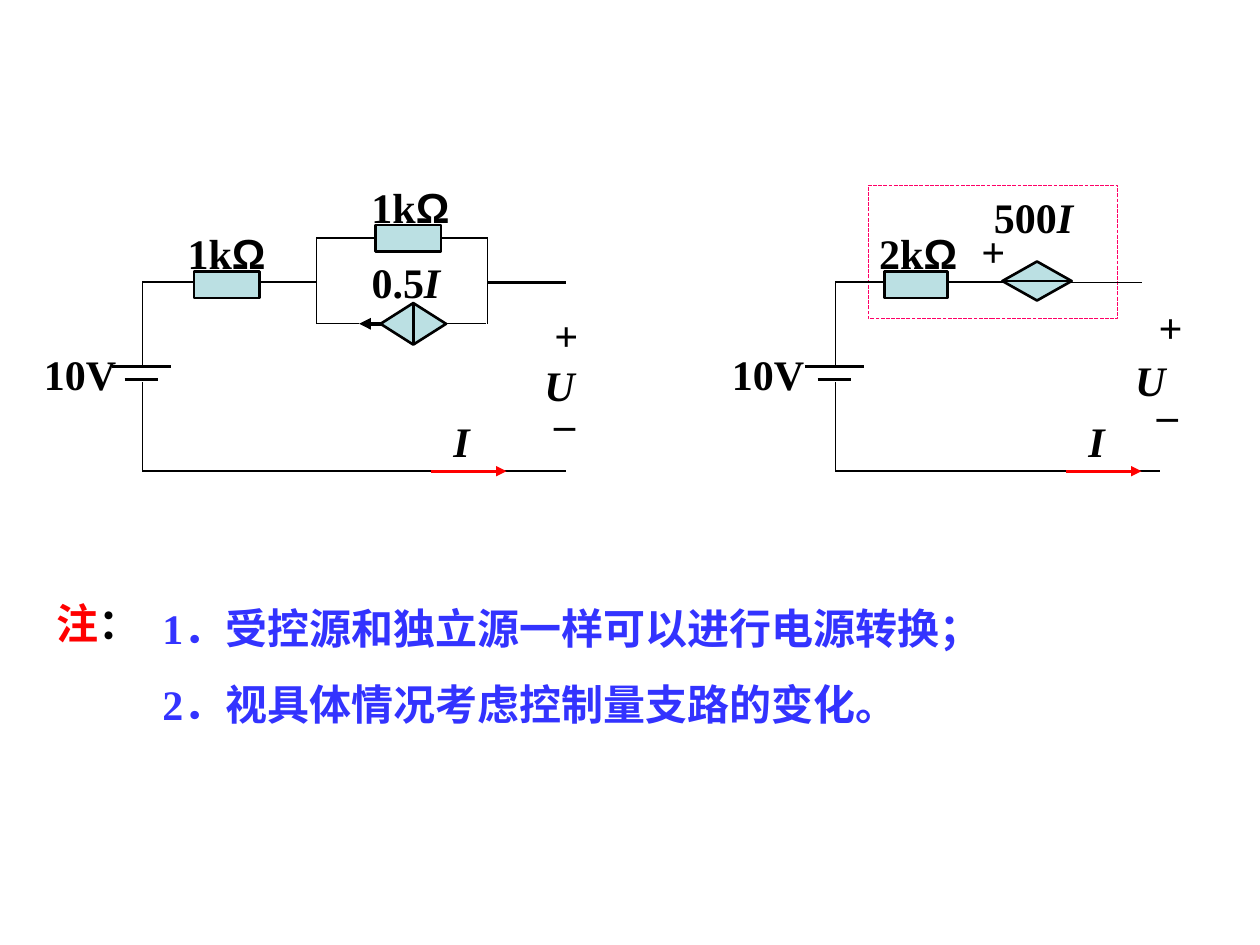
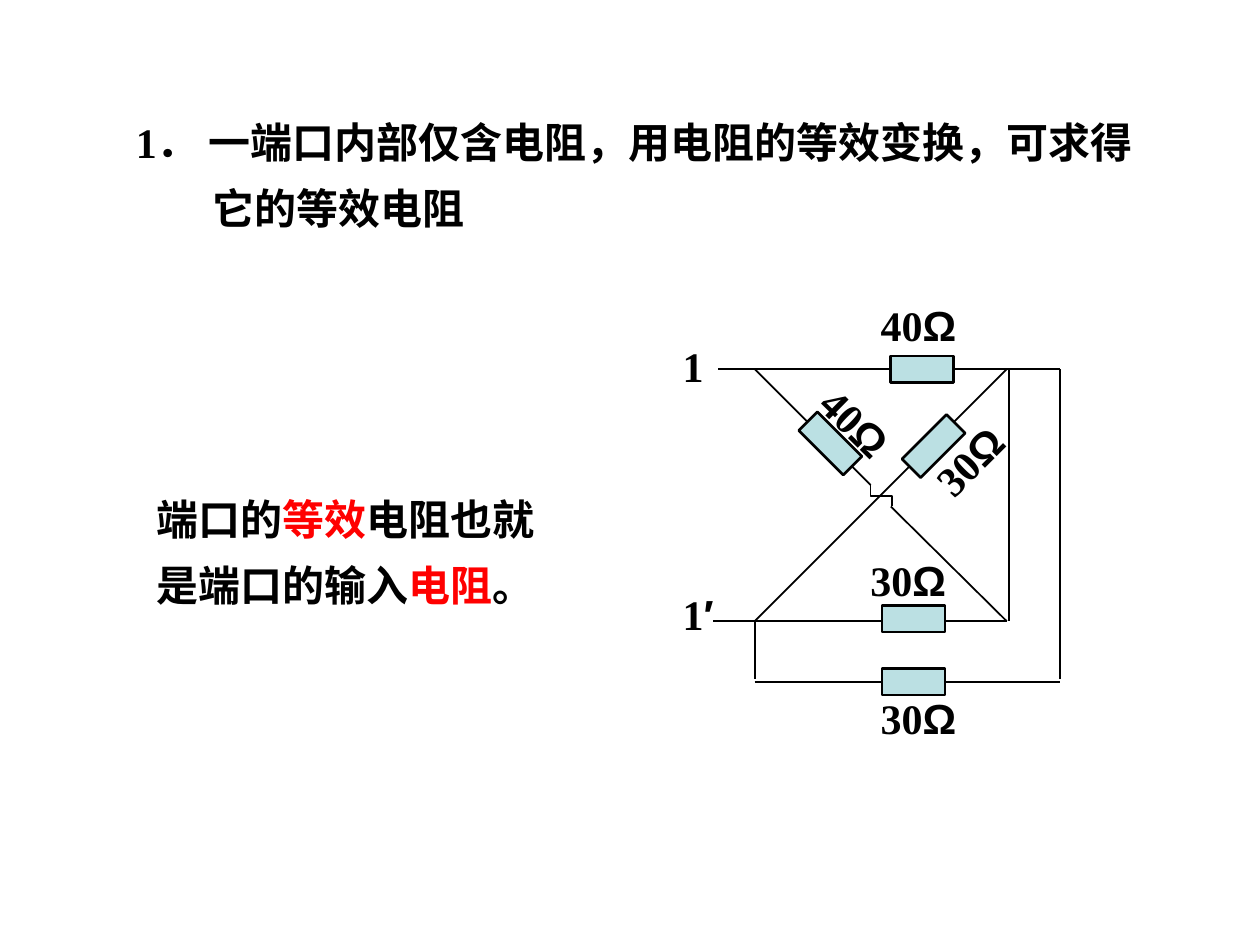
from pptx import Presentation
from pptx import util as u
from pptx.dml.color import RGBColor
from pptx.enum import dml, shapes, text
from pptx.oxml import ns
from lxml import etree

HUE = {"ink": "000000", "red": "FF0000", "blue": "3333FF",
       "part": "BBE0E3", "frame": "FF0066"}
FONT = {"name": "Times New Roman", "size": u.Pt(24), "bold": True}
ITAL = {"italic": True}
SIGN = {"name": "Arial"}
RED = {"hue": "red"}
BLUE = {"hue": "blue"}
MID = {"alignment": text.PP_ALIGN.CENTER}
WIDE = {"line_spacing": 1.3}
GAP = {"space_before": u.Pt(15)}


def rgb(hue):
    return RGBColor.from_string(HUE[hue])


def inch(nums):
    return [u.Inches(n) for n in nums]


def apply(item, vals):
    for key, val in vals.items():
        setattr(item, key, val)


def stroke(item, hue, width):
    item.line.color.rgb = rgb(hue)
    item.line.width = u.Pt(width)


# ---- Text ----
def fill_para(para, runs, form):
    """Each run is plain text or a pair of text and format values."""
    apply(para, form)
    for part in runs:
        words, own = part if isinstance(part, tuple) else (part, {})
        run = para.add_run()
        run.text = words
        vals = {**FONT, **own}
        run.font.color.rgb = rgb(vals.pop("hue", "ink"))
        apply(run.font, vals)


def label(slide, box, *runs, form={}, turn=0):
    item = slide.shapes.add_textbox(*inch(box))
    item.rotation = turn
    frame = item.text_frame
    frame.word_wrap = True
    if form is MID:
        frame.vertical_anchor = text.MSO_ANCHOR.MIDDLE
    fill_para(frame.paragraphs[0], runs, form)
    return frame


def ohms(slide, left, top, value, turn=0, width=1):
    label(slide, (left, top, width, 0.5), value, ("Ω", SIGN), turn=turn)


# ---- Circuit parts ----
def wire(slide, x1, y1, x2, y2, width=1, hue="ink", arrow=False,
         kind=shapes.MSO_CONNECTOR.STRAIGHT):
    item = slide.shapes.add_connector(kind, *inch((x1, y1, x2, y2)))
    stroke(item, hue, width)
    props = item._element.spPr
    if arrow:
        line = item.line._get_or_add_ln()
        etree.SubElement(line, ns.qn("a:tailEnd"), type="triangle")
    etree.SubElement(props, ns.qn("a:effectLst"))
    return item


def wires(slide, paths, width=1):
    for ends in paths:
        wire(slide, *ends, width)


def part(slide, kind, mid_x, mid_y, wide, high, turn=0):
    box = (mid_x - wide / 2, mid_y - high / 2, wide, high)
    item = slide.shapes.add_shape(kind, *inch(box))
    item.shadow.inherit = False
    item.rotation = turn
    item.fill.solid()
    item.fill.fore_color.rgb = rgb("part")
    stroke(item, "ink", 1.5)
    return item


def resist(slide, mid_x, mid_y, turn=0, wide=0.5):
    part(slide, shapes.MSO_SHAPE.RECTANGLE, mid_x, mid_y, wide, 0.21, turn)


def source(slide, mid_x, mid_y, wide, high, turn):
    part(slide, shapes.MSO_SHAPE.FLOWCHART_SORT, mid_x, mid_y, wide, high, turn)


def loop(slide, left, top_end, low_end, volt, amp):
    """Battery branch with its top and bottom rails and the current arrow."""
    wires(slide, [(left - 0.24, 2.91, left + 0.23, 2.91),
                  (left - 0.14, 3.01, left + 0.12, 3.01)], 1.5)
    wires(slide, [(left, 3.03, left, 3.74), (left, 2.91, left, 2.24),
                  (left, 2.24, top_end, 2.24), (left, 3.74, low_end, 3.74)])
    wire(slide, amp, 3.74, amp + 0.6, 3.74, 1.5, "red", arrow=True)
    label(slide, (volt, 2.72, 0.85, 0.5), "10V")
    label(slide, (amp + 0.08, 3.25, 0.47, 0.5), ("I", ITAL))


def port(slide, plus, volt, minus):
    """Voltage marks at the open terminals, each as left, top, width."""
    for spot, mark in ((plus, "+"), (minus, "_"), (volt, ("U", ITAL))):
        label(slide, (*spot, 0.5), mark, form=MID)


# ---- Slides ----
def convert(slide):
    # Frame around the converted source
    frame = slide.shapes.add_shape(shapes.MSO_SHAPE.RECTANGLE,
                                   *inch((6.89, 1.47, 1.98, 1.06)))
    frame.shadow.inherit = False
    frame.fill.background()
    stroke(frame, "frame", 0.75)
    frame.line.dash_style = dml.MSO_LINE.SQUARE_DOT

    # Notes
    label(slide, (0.35, 4.69, 1.11, 0.5), ("注", RED), "：")
    notes = label(slide, (1.19, 4.73, 7.29, 1.11),
                  ("1．受控源和独立源一样可以进行电源转换；", BLUE))
    fill_para(notes.add_paragraph(),
              [("2．视具体情况考虑控制量支路的变化。", BLUE)], GAP)

    # Left circuit: parallel current source
    loop(slide, 1.13, 2.51, 4.49, 0.25, 3.42)
    wires(slide, [(2.51, 1.89, 3.87, 1.89), (2.51, 1.89, 2.51, 2.57),
                  (2.51, 2.57, 2.85, 2.57), (3.87, 1.89, 3.87, 2.57),
                  (3.54, 2.57, 3.86, 2.57)], 0.75)
    wire(slide, 3.87, 2.24, 4.49, 2.24, 1.5)
    wire(slide, 3.03, 2.57, 2.85, 2.57, 2.25, arrow=True)
    source(slide, 3.28, 2.57, 0.33, 0.52, 270)
    for mid_x, mid_y in ((1.8, 2.26), (3.24, 1.89)):
        resist(slide, mid_x, mid_y, wide=0.52)
    ohms(slide, 1.39, 1.76, "1k")
    ohms(slide, 2.85, 1.39, "1k")
    label(slide, (2.85, 1.99, 0.88, 0.5), "0.5", ("I", ITAL))
    port(slide, (4.29, 2.41, 0.41), (4.15, 2.8, 0.58), (4.3, 2.99, 0.26))

    # Right circuit: series voltage source
    loop(slide, 6.63, 7.96, 9.21, 5.71, 8.46)
    wire(slide, 8.46, 2.24, 9.06, 2.24, 0.75)
    resist(slide, 7.27, 2.26)
    source(slide, 8.23, 2.23, 0.55, 0.31, 180)
    ohms(slide, 6.88, 1.76, "2k")
    label(slide, (7.79, 1.47, 1, 0.5), "500", ("I", ITAL))
    label(slide, (7.69, 1.74, 0.44, 0.5), "+")
    port(slide, (9.09, 2.34, 0.4), (8.85, 2.76, 0.56), (9.04, 2.92, 0.45))


def bridge(slide):
    # Statements
    rule = label(slide, (0.98, 0.76, 8.19, 1.14),
                 "1． 一端口内部仅含电阻，用电阻的等效变换，可求得它的等效电阻",
                 form=WIDE)
    hang = rule.paragraphs[0]._p.get_or_add_pPr()
    hang.set("marL", str(u.Inches(0.61)))
    hang.set("indent", str(-u.Inches(0.61)))
    label(slide, (1.14, 3.75, 3.39, 1.14), "端口的", ("等效", RED),
          "电阻也就是端口的输入", ("电阻", RED), "。", form=WIDE)

    # Wiring
    left, right, far = 5.99, 7.99, 8.41
    top, low, base = 2.93, 4.93, 5.41
    wires(slide, [(5.7, top, far, top), (5.66, low, right, low),
                  (8.01, top, 8.01, low), (far, top, far, base - 0.02),
                  (left, low, left, base - 0.02), (left, base, far, base),
                  (right, top, left, low), (left, top, 6.91, 3.85),
                  (right, low, 7.07, 4.02)])
    hop = wire(slide, 7.08, 3.85, 6.91, 4.02,
               kind=shapes.MSO_CONNECTOR.ELBOW)
    hop._element.spPr.find(ns.qn("a:xfrm")).set("rot", str(270 * 60000))

    # Resistors and their values
    for mid_x, mid_y, turn in ((7.32, top, 0), (7.25, 4.91, 0),
                               (7.25, base, 0), (6.59, 3.52, 45),
                               (7.41, 3.54, 315)):
        resist(slide, mid_x, mid_y, turn)
    for x, y, value, turn in ((6.89, 2.33, "40", 0), (6.81, 4.35, "30", 0),
                              (6.89, 5.45, "30", 0), (6.38, 3.13, "40", 44.5),
                              (7.28, 3.38, "30", 315)):
        ohms(slide, x, y, value, turn, 0.88)

    # Terminals
    label(slide, (5.32, 2.65, 0.47, 0.5), "1")
    label(slide, (5.32, 4.62, 0.47, 0.5), "1", ("′", SIGN))


def main():
    deck = Presentation()
    deck.slide_width, deck.slide_height = inch((10, 7.5))
    for draw in (convert, bridge):
        draw(deck.slides.add_slide(deck.slide_layouts[6]))
    deck.save("out.pptx")


if __name__ == "__main__":
    main()
